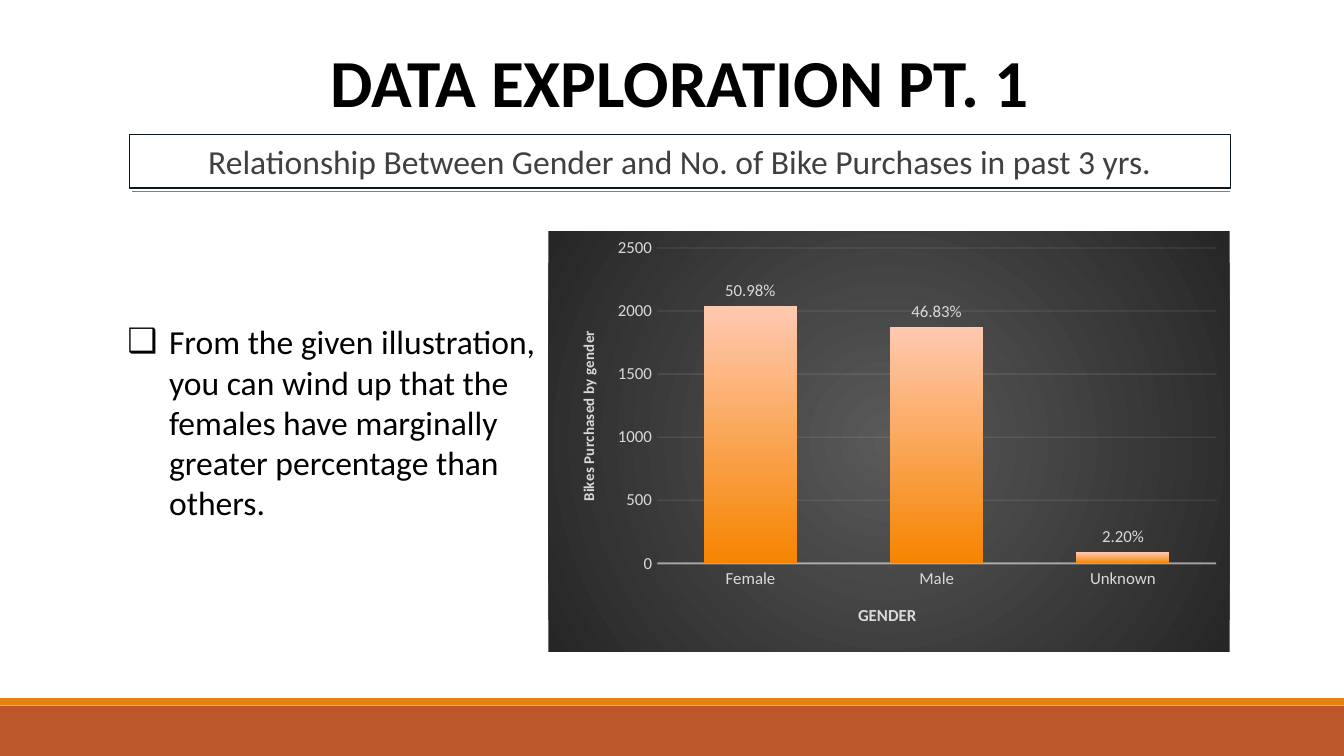
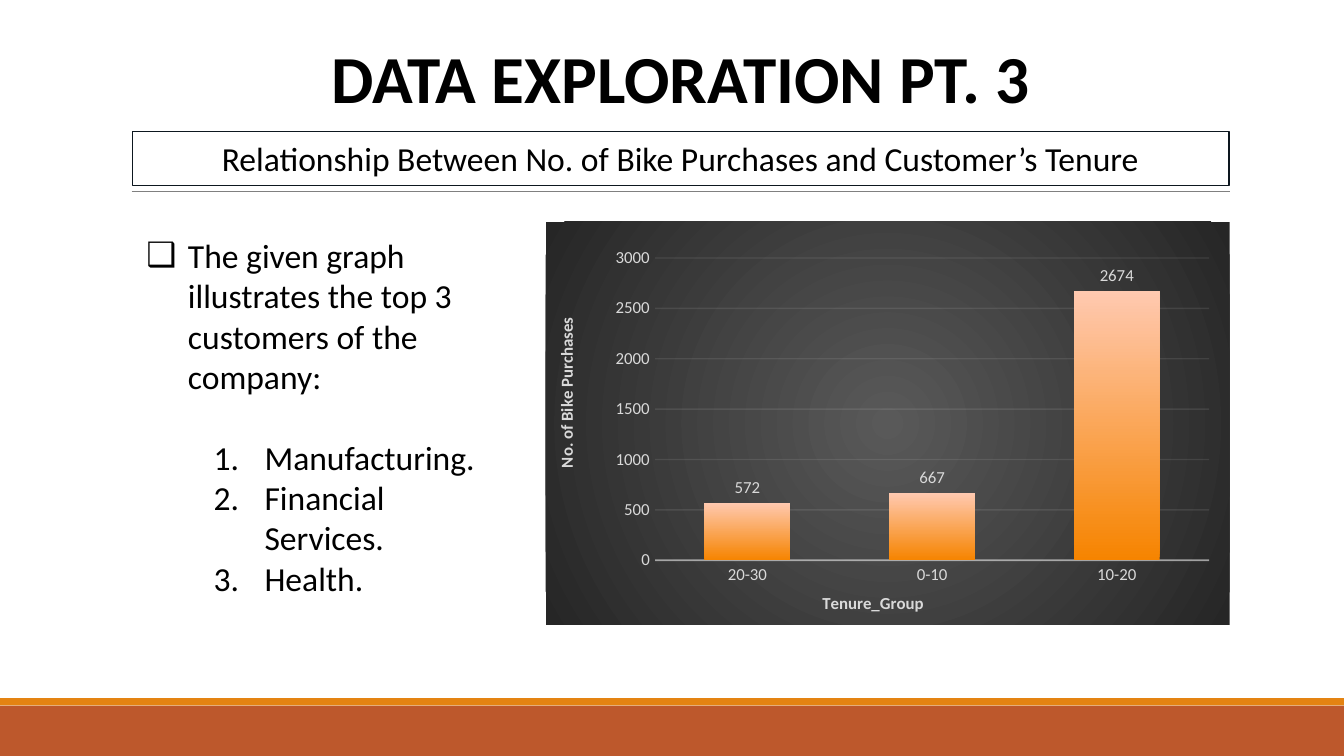
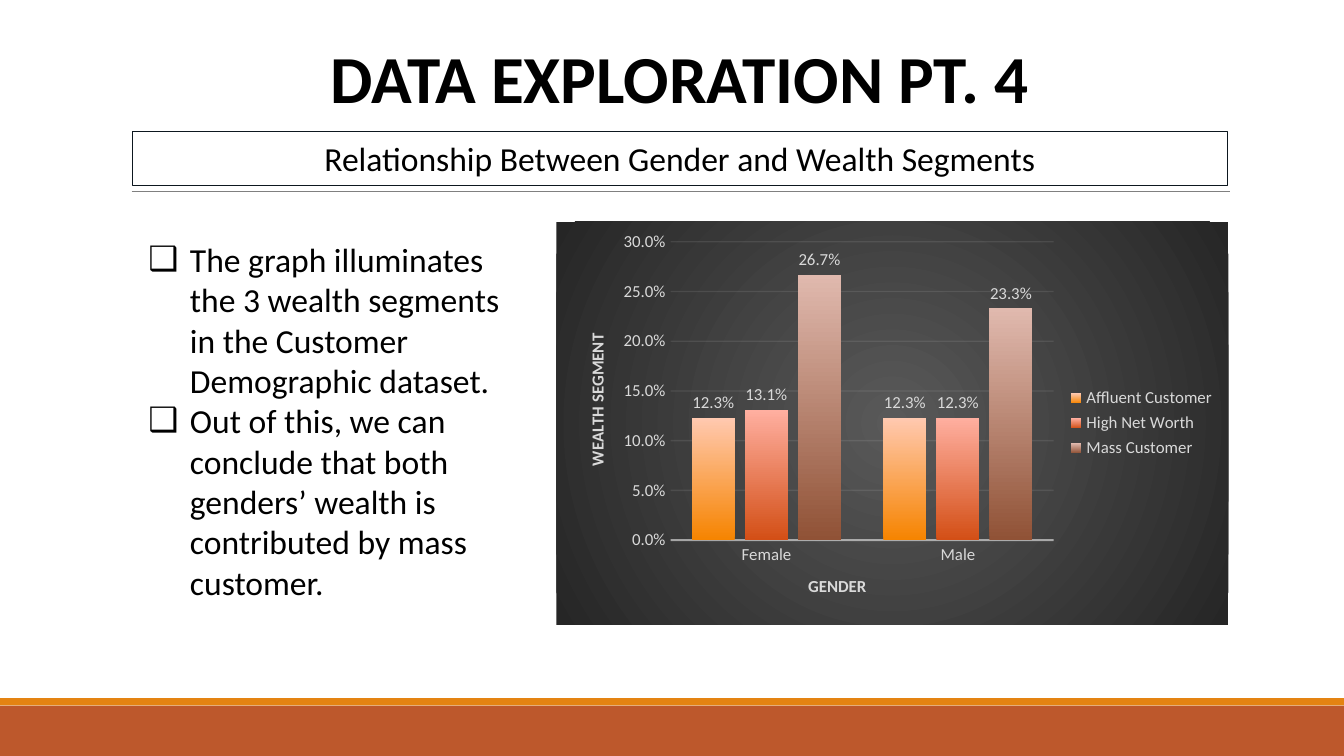
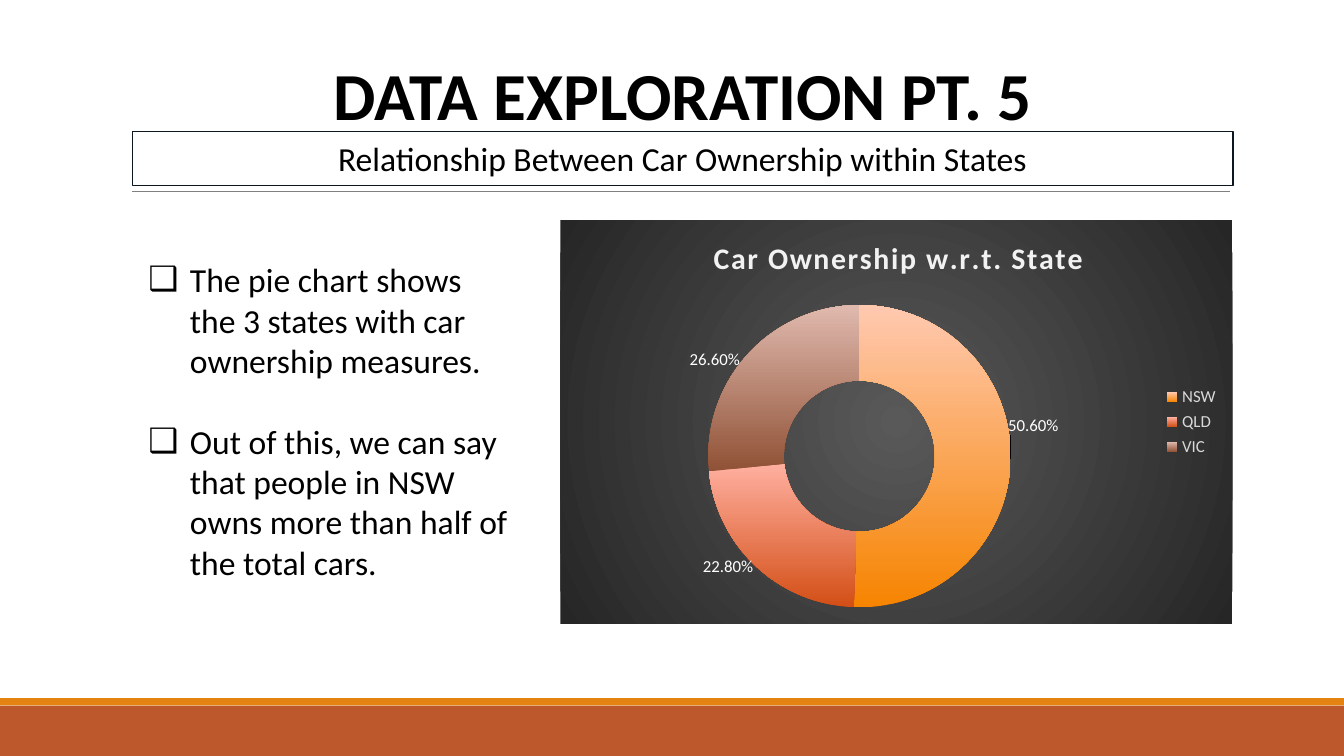
from dataclasses import dataclass

from pptx import Presentation
from pptx.chart.data import CategoryChartData
from pptx.dml.color import RGBColor
from pptx.enum.chart import XL_CHART_TYPE, XL_LABEL_POSITION, XL_LEGEND_POSITION, XL_TICK_MARK
from pptx.enum.shapes import MSO_CONNECTOR, MSO_SHAPE, PP_PLACEHOLDER
from pptx.enum.text import MSO_ANCHOR, MSO_AUTO_SIZE, PP_ALIGN
from pptx.oxml import parse_xml
from pptx.oxml.ns import nsdecls, qn
from pptx.util import Inches, Pt

COLUMN, DOUGHNUT = XL_CHART_TYPE.COLUMN_CLUSTERED, XL_CHART_TYPE.DOUGHNUT
OUTSIDE, RIGHT = XL_LABEL_POSITION.OUTSIDE_END, XL_LEGEND_POSITION.RIGHT
NO_TICK, CENTER, MIDDLE = XL_TICK_MARK.NONE, PP_ALIGN.CENTER, MSO_ANCHOR.MIDDLE
RECTANGLE, STRAIGHT = MSO_SHAPE.RECTANGLE, MSO_CONNECTOR.STRAIGHT
TITLE_ONLY = 5


@dataclass(frozen=True)
class Theme:
    font: str = "Calibri"
    black: str = "000000"
    soft_black: str = "404040"
    frame: str = "0D171F"
    rule: str = "808080"
    band: str = "BD582C"
    stripe: str = "E48312"
    chart_text: str = "D9D9D9"
    chart_line: str = "F2F2F2"
    white: str = "FFFFFF"
    glow: tuple = ("595959", "262626")
    ramps: tuple = (("F68400", "FFC9B0"), ("D34F16", "FFAFA0"), ("905236", "E0B9AE"))
    title_size: int = 36
    body_size: int = 18
    chart_title_size: int = 16
    chart_size: int = 9
    blank_line: float = 21.6


THEME = Theme()

# The grid is 100 columns wide; a cell is a square of a tenth of an inch.
CELL = 0.1
COLUMNS, ROWS = 100, 56.25
BAND_TOP, STRIPE_TOP, RULE_TOP = 52.5, 51.95, 14.25
RULE_ENDS = (9.8, 91.5)
TITLE_HEIGHT, SUBTITLE_HEIGHT = 8.1, 4

# kind: (marker tag, marker attribute, left indent, hanging indent, level); indents in cells
MARKERS = {
    "box": ("buChar", 'char="❑"', 3.1, 3.1, 0),
    "wide box": ("buChar", 'char="❑"', 3.3, 3.1, 0),
    "number": ("buAutoNum", 'type="arabicPeriod"', 8.8, 3.8, 1),
}

# Places ("at") are left, top, width, height in cells.
# Places inside a chart are shares of the chart's size.
SLIDES = [
    {
        "title": "DATA EXPLORATION PT. 1",
        "subtitle": "Relationship Between Gender and No. of Bike Purchases in past 3 yrs.",
        "subtitle_color": THEME.soft_black,
        "left": 9.65, "width": 81.9, "title_top": 1.95, "subtitle_top": 10,
        "notes_at": (8.5, 23.4, 34.9, 16.2),
        "notes": [("box", "From the given illustration, you can wind up that the females "
                          "have marginally greater percentage than others.", 0)],
        "chart": {
            "kind": COLUMN, "at": (40.8, 17.2, 50.7, 31.3), "plot": (0.16, 0.04, 0.82, 0.75),
            "categories": ["Female", "Male", "Unknown"],
            "series": {"Series 1": [2039, 1873, 88]},
            "format": "General", "gap": 100, "overlap": -24, "top": 2500, "step": 500,
            "labels": ["50.98%", "46.83%", "2.20%"],
            "category_title": ("GENDER", 9, 0.45, 0.88),
            "value_title": ("Bikes Purchased by gender", 8, 0.04, 0.23),
        },
    },
    {
        "title": "DATA EXPLORATION PT. 3",
        "subtitle": "Relationship Between No. of Bike Purchases and Customer’s Tenure",
        "left": 9.85, "width": 81.6, "title_top": 1.65, "subtitle_top": 9.8,
        "notes_at": (9.9, 17, 29.1, 28.3),
        "notes": [("box", "The given graph illustrates the top 3 customers of the company:",
                   THEME.blank_line),
                  ("number", "Manufacturing.", 0),
                  ("number", "Financial Services.", 0),
                  ("number", "Health.", 0)],
        "chart": {
            "kind": COLUMN, "at": (40.6, 16.5, 50.9, 30), "plot": (0.16, 0.09, 0.81, 0.75),
            "categories": ["20-30", "0-10", "10-20"],
            "series": {"Series 1": [572, 667, 2674]},
            "format": "General", "gap": 115, "overlap": 0, "top": 3000, "step": 500,
            "category_title": ("Tenure_Group", 9, 0.4, 0.91),
            "value_title": ("No. of Bike Purchases", 9, 0.01, 0.23),
        },
    },
    {
        "title": "DATA EXPLORATION PT. 4",
        "subtitle": "Relationship Between Gender and Wealth Segments",
        "left": 9.85, "width": 81.5, "title_top": 1.65, "subtitle_top": 9.8,
        "notes_at": (9.85, 17.3, 29.1, 28.3),
        "notes": [("wide box", "The graph illuminates the 3 wealth segments in the Customer "
                               "Demographic dataset.", 0),
                  ("wide box", "Out of this, we can conclude that both genders’ wealth is "
                               "contributed by mass customer.", 0)],
        "chart": {
            "kind": COLUMN, "at": (41.4, 16.5, 50, 30), "plot": (0.17, 0.05, 0.57, 0.74),
            "categories": ["Female", "Male"],
            "series": {"Affluent Customer": [0.123, 0.123],
                       "High Net Worth": [0.131, 0.123],
                       "Mass Customer": [0.267, 0.233]},
            "format": "0.0%", "gap": 100, "overlap": -24, "top": 0.3, "step": 0.05,
            "legend": True,
            "category_title": ("GENDER", 9, 0.37, 0.87),
            "value_title": ("WEALTH SEGMENT", 9, 0.04, 0.27),
        },
    },
    {
        "title": "DATA EXPLORATION PT. 5",
        "subtitle": "Relationship Between Car Ownership within States",
        "left": 9.85, "width": 81.9, "title_top": 2.95, "subtitle_top": 9.8,
        "notes_at": (9.85, 18.8, 29.1, 25.2),
        "notes": [("wide box", "The pie chart shows the 3 states with car ownership measures.",
                   THEME.blank_line),
                  ("wide box", "Out of this, we can say that people in NSW owns more than half "
                               "of the total cars.", 0)],
        "chart": {
            "kind": DOUGHNUT, "at": (41.7, 16.4, 50, 30), "plot": (0.22, 0.21, 0.45, 0.75),
            "categories": ["NSW", "QLD", "VIC"],
            "series": {"Series 1": [0.506, 0.228, 0.266]},
            "format": "0.00%", "hole": 75, "legend": True,
            "title": ("Car Ownership w.r.t. State", 0.22, 0.03),
            "label_shifts": [(0.09, -0.08), (-0.08, 0.07), (-0.09, -0.05)],
        },
    },
]


def rgb(code):
    return RGBColor.from_string(code)


def cells(*lengths):
    return [Inches(length * CELL) for length in lengths]


def style(font, size, color, bold=False):
    font.name, font.size, font.bold = THEME.font, Pt(size), bold
    font.color.rgb = rgb(color)


def mark(para, kind):
    """Give a paragraph its bullet or number and its indents."""
    tag, attribute, indent, hang, para.level = MARKERS[kind]
    props = para._p.get_or_add_pPr()
    props.set("marL", str(Inches(indent * CELL)))
    props.set("indent", str(-Inches(hang * CELL)))
    props.append(parse_xml(f'<a:buFont {nsdecls("a")} typeface="{THEME.font}"/>'))
    props.append(parse_xml(f'<a:{tag} {nsdecls("a")} {attribute}/>'))


def write(frame, text, size=THEME.body_size, color=THEME.black, bold=False,
          align=None, tracking=None, after=0, marker=None):
    """Fill the last paragraph if it is empty, else add one."""
    para = frame.paragraphs[-1]
    if para.runs:
        para = frame.add_paragraph()
    if align is not None:
        para.alignment = align
    if after:
        para.space_after = Pt(after)
    if marker:
        mark(para, marker)
    span = para.add_run()
    span.text = text
    style(span.font, size, color, bold)
    if tracking:
        span._r.get_or_add_rPr().set("spc", str(tracking))


def add_box(page, at, fill=None, line=None):
    box = page.shapes.add_shape(RECTANGLE, *cells(*at))
    box.shadow.inherit = False
    if fill:
        box.fill.solid()
        box.fill.fore_color.rgb = rgb(fill)
    else:
        box.fill.background()
    if line:
        box.line.color.rgb = rgb(line)
        box.line.width = Pt(0.75)
    else:
        box.line.fill.background()
    return box


def furnish_layout(layout, page):
    """Draw the shared bands and rule on a page, then move them to its layout."""
    for holder in list(layout.placeholders):
        if holder.placeholder_format.type != PP_PLACEHOLDER.TITLE:
            holder.element.getparent().remove(holder.element)
    band = add_box(page, (0, BAND_TOP, COLUMNS, ROWS - BAND_TOP), THEME.band)
    stripe = add_box(page, (0, STRIPE_TOP, COLUMNS, BAND_TOP - STRIPE_TOP), THEME.stripe)
    start, end = RULE_ENDS
    rule = page.shapes.add_connector(STRAIGHT, *cells(start, RULE_TOP, end, RULE_TOP))
    rule.line.color.rgb = rgb(THEME.rule)
    rule.line.width = Pt(0.5)
    rule.element.spPr.append(parse_xml(f"<a:effectLst {nsdecls('a')}/>"))
    for number, part in enumerate((band, stripe, rule), 20):
        part.element.xpath("./*/p:cNvPr")[0].set("id", str(number))
        layout.shapes.element.append(part.element)


def place(part, left, top, width=None, height=None, index=0, edge=True):
    """Give a chart part a manual layout; without edge it is a shift."""
    old = part.find(qn("c:layout"))
    if old is not None:
        part.remove(old)
    rows = []
    if width:
        rows.append('<c:layoutTarget val="inner"/>')
    if edge:
        rows.append('<c:xMode val="edge"/><c:yMode val="edge"/>')
    rows.append(f'<c:x val="{left}"/><c:y val="{top}"/>')
    if width:
        rows.append(f'<c:w val="{width}"/><c:h val="{height}"/>')
    part.insert(index, parse_xml(f"<c:layout {nsdecls('c')}><c:manualLayout>"
                                 f"{''.join(rows)}</c:manualLayout></c:layout>"))


def fade(chart, xpath, percent):
    for color in chart.element.xpath(xpath + "//a:srgbClr"):
        color.append(parse_xml(f'<a:alpha {nsdecls("a")} val="{percent * 1000}"/>'))


def fill_ramp(fill, colors):
    fill.gradient()
    fill.gradient_angle = 90
    for stop, color in zip(fill.gradient_stops, colors):
        stop.color.rgb = rgb(color)


def fill_glow(chart):
    inner, outer = THEME.glow
    chart.element.find(qn("c:chart")).addnext(parse_xml(
        f'<c:spPr {nsdecls("c", "a")}><a:gradFill><a:gsLst>'
        f'<a:gs pos="0"><a:srgbClr val="{inner}"/></a:gs>'
        f'<a:gs pos="100000"><a:srgbClr val="{outer}"/></a:gs></a:gsLst>'
        '<a:path path="circle"><a:fillToRect l="50000" t="50000" r="50000" b="50000"/></a:path>'
        '</a:gradFill><a:ln><a:noFill/></a:ln></c:spPr>'))


def format_axes(chart, data):
    category, value = chart.category_axis, chart.value_axis
    for axis, key in ((category, "category_title"), (value, "value_title")):
        axis.major_tick_mark = axis.minor_tick_mark = NO_TICK
        style(axis.tick_labels.font, THEME.chart_size, THEME.chart_text)
        text, size, left, top = data[key]
        write(axis.axis_title.text_frame, text, size, THEME.chart_text, bold=True)
        place(axis.axis_title.element, left, top, index=1)
    chart.element.xpath(".//c:valAx/c:title//a:bodyPr")[0].set("rot", "-5400000")

    value.minimum_scale, value.maximum_scale = 0, data["top"]
    value.major_unit = data["step"]
    value.tick_labels.number_format = data["format"]
    value.tick_labels.number_format_is_linked = False
    value.format.line.fill.background()
    grid = value.major_gridlines.format.line
    for line, width in ((category.format.line, 1), (grid, 0.75)):
        line.color.rgb = rgb(THEME.chart_line)
        line.width = Pt(width)
    fade(chart, ".//c:catAx/c:spPr", 54)
    fade(chart, ".//c:majorGridlines", 10)


def format_columns(chart, data):
    plot = chart.plots[0]
    plot.gap_width, plot.overlap = data["gap"], data["overlap"]
    for series, ramp in zip(plot.series, THEME.ramps):
        fill_ramp(series.format.fill, ramp)
        series.data_labels.position = OUTSIDE
        for index, text in enumerate(data.get("labels", [])):
            label = series.points[index].data_label
            write(label.text_frame, text, THEME.chart_size, THEME.chart_text)
            label.position = OUTSIDE
    format_axes(chart, data)


def format_ring(chart, data):
    series = chart.plots[0].series[0]
    for index, ramp in enumerate(THEME.ramps):
        point = series.points[index]
        fill_ramp(point.format.fill, ramp)
        style(point.data_label.font, THEME.chart_size, THEME.white)
    for label, shift in zip(chart.element.xpath(".//c:dLbl"), data["label_shifts"]):
        place(label, *shift, index=1, edge=False)
    chart.element.xpath(".//c:holeSize")[0].set("val", str(data["hole"]))


def add_chart(page, data):
    source = CategoryChartData(number_format=data["format"])
    source.categories = data["categories"]
    for name, values in data["series"].items():
        source.add_series(name, values)
    chart = page.shapes.add_chart(data["kind"], *cells(*data["at"]), source).chart
    chart.font.name, chart.font.size = THEME.font, Pt(10)
    fill_glow(chart)

    ring = data["kind"] == DOUGHNUT
    plot = chart.plots[0]
    plot.vary_by_categories = ring
    for series in plot.series:
        labels = series.data_labels
        labels.show_value = True
        labels.number_format, labels.number_format_is_linked = data["format"], False
        style(labels.font, THEME.chart_size, THEME.white if ring else THEME.chart_text)

    chart.has_legend = data.get("legend", False)
    if chart.has_legend:
        chart.legend.position = RIGHT
        chart.legend.include_in_layout = False
        style(chart.legend.font, THEME.chart_size, THEME.chart_text)

    chart.has_title = "title" in data
    if chart.has_title:
        text, left, top = data["title"]
        write(chart.chart_title.text_frame, text, THEME.chart_title_size, THEME.chart_line,
              bold=True, tracking=100)
        place(chart.chart_title.element, left, top, index=1)

    (format_ring if ring else format_columns)(chart, data)
    place(chart.element.xpath(".//c:plotArea")[0], *data["plot"])


def fill_page(page, data):
    left, width = data["left"], data["width"]
    title = page.shapes.title
    title.left, title.top, title.width, title.height = cells(
        left, data["title_top"], width, TITLE_HEIGHT)
    frame = title.text_frame
    frame.auto_size, frame.vertical_anchor = MSO_AUTO_SIZE.NONE, MIDDLE
    frame.margin_top = frame.margin_bottom = Inches(CELL)
    write(frame, data["title"], THEME.title_size, bold=True, align=CENTER)

    subtitle = add_box(page, (left, data["subtitle_top"], width, SUBTITLE_HEIGHT),
                       line=THEME.frame)
    write(subtitle.text_frame, data["subtitle"], align=CENTER,
          color=data.get("subtitle_color", THEME.black))

    notes = page.shapes.add_textbox(*cells(*data["notes_at"])).text_frame
    notes.word_wrap = True
    for marker, text, after in data["notes"]:
        write(notes, text, marker=marker, after=after)
    add_chart(page, data["chart"])


def main():
    deck = Presentation()
    deck.slide_width, deck.slide_height = cells(COLUMNS, ROWS)
    layout = deck.slide_layouts[TITLE_ONLY]
    pages = [deck.slides.add_slide(layout) for _ in SLIDES]
    furnish_layout(layout, pages[0])
    for page, data in zip(pages, SLIDES):
        fill_page(page, data)
    deck.save("out.pptx")


if __name__ == "__main__":
    main()
